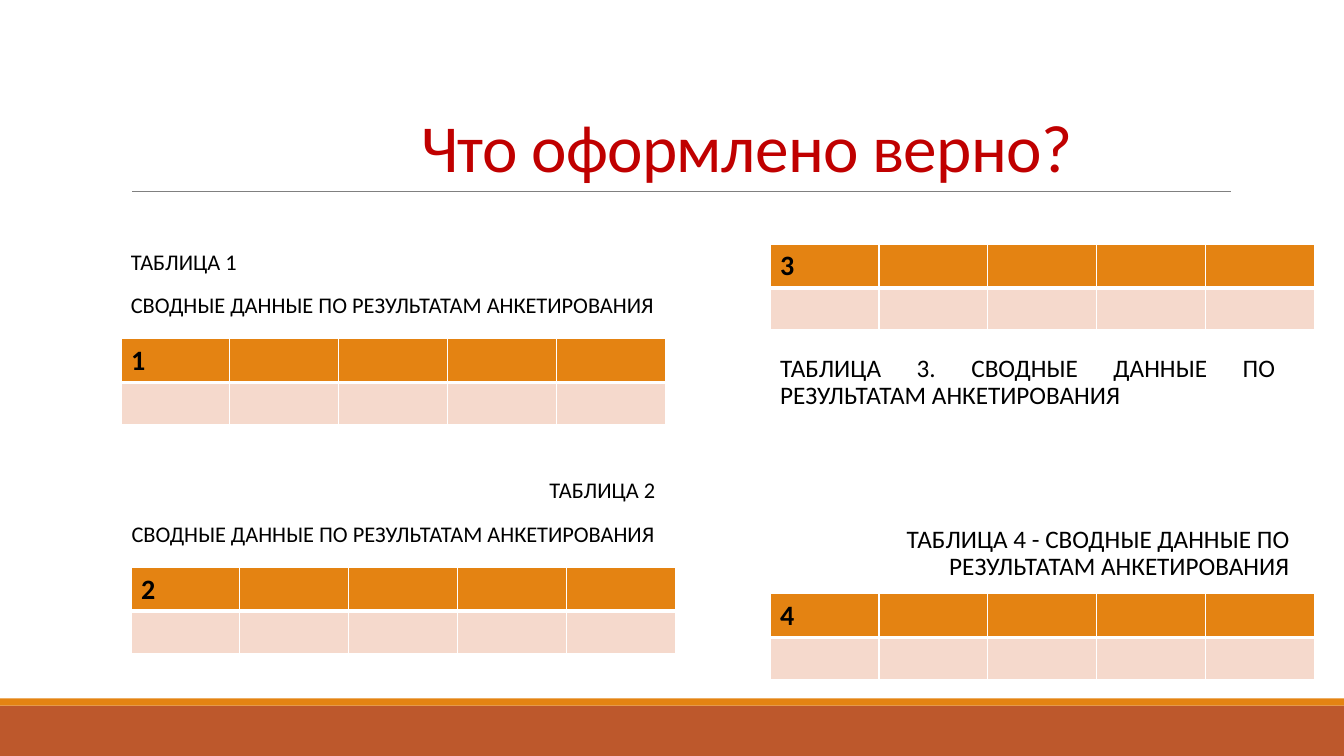
import pptx
import pptx.util
import pptx.dml.color
import pptx.enum.shapes
import pptx.enum.text
import pptx.oxml
import pptx.oxml.ns

COLOURS = {"rust": "BD582C", "orange": "E48312", "blush": "F5D9CC", "rule": "808080",
           "title": "C00000", "text": "000000", "white": "FFFFFF"}
FONT = "Calibri"
CELL = pptx.util.Inches(0.1)
WIDE, HIGH = 133.33, 75
TABLE_WIDE, TABLE_HIGH, TABLE_COLUMNS, TABLE_ROWS = 54, 8.4, 5, 2
CAPTION_HIGH = 8.1
SUMMARY = "СВОДНЫЕ ДАННЫЕ ПО РЕЗУЛЬТАТАМ АНКЕТИРОВАНИЯ"
ALIGN = pptx.enum.text.PP_ALIGN
ANCHOR = pptx.enum.text.MSO_ANCHOR


def grid(*cells):
    """Turn grid columns and rows into lengths."""
    return [round(cell * CELL) for cell in cells]


def colour(name):
    """Look up a named colour."""
    return pptx.dml.color.RGBColor.from_string(COLOURS[name])


def style(para, size, name, bold=False):
    """Format every run of a paragraph."""
    for span in para.runs:
        span.font.name = FONT
        span.font.size = pptx.util.Pt(size)
        span.font.bold = bold
        span.font.color.rgb = colour(name)


def add_band(page, top, height, name):
    """Draw a full-width coloured band."""
    band = page.shapes.add_shape(pptx.enum.shapes.MSO_SHAPE.RECTANGLE, *grid(0, top, WIDE, height))
    band.shadow.inherit = False
    band.fill.solid()
    band.fill.fore_color.rgb = colour(name)
    band.line.fill.background()


def add_rule(page, left, right, row):
    """Draw the thin line under the title."""
    rule = page.shapes.add_connector(pptx.enum.shapes.MSO_CONNECTOR.STRAIGHT,
                                     *grid(left, row, right, row))
    rule.line.color.rgb = colour("rule")
    rule.line.width = pptx.util.Pt(0.5)
    properties = rule._element.spPr
    properties.append(properties.makeelement(pptx.oxml.ns.qn("a:effectLst"), {}))


def set_title(page, text):
    """Place and format the title placeholder."""
    title = page.shapes.title
    title.left, title.top, title.width, title.height = grid(40.8, 3.1, 81.2, 15.9)
    frame = title.text_frame
    frame.text = text
    frame.word_wrap = True
    frame.auto_size = pptx.enum.text.MSO_AUTO_SIZE.NONE
    frame.vertical_anchor = ANCHOR.BOTTOM
    para = frame.paragraphs[0]
    para.alignment = ALIGN.LEFT
    para.line_spacing = 0.85
    style(para, 48, "title")
    para.runs[0].font._element.set("spc", "-50")


def add_caption(page, left, top, width, size, lines):
    """Add a caption made of aligned lines."""
    box = page.shapes.add_textbox(*grid(left, top, width, CAPTION_HIGH))
    frame = box.text_frame
    frame.word_wrap = True
    frame.vertical_anchor = ANCHOR.MIDDLE
    for index, (text, alignment) in enumerate(lines):
        para = frame.add_paragraph() if index else frame.paragraphs[0]
        para.text = text
        para.alignment = alignment
        para.line_spacing = 0.9
        para.space_before = pptx.util.Pt(12 if index else 0)
        para.space_after = pptx.util.Pt(2)
        style(para, size, "text")


def set_borders(cell, bottom):
    """Give a cell white borders with a chosen bottom width."""
    properties = cell._tc.get_or_add_tcPr()
    for position, (side, width) in enumerate((("L", 1), ("R", 1), ("T", 1), ("B", bottom))):
        properties.insert(position, pptx.oxml.parse_xml(
            f'<a:ln{side} {pptx.oxml.ns.nsdecls("a")} w="{pptx.util.Pt(width)}"><a:solidFill>'
            f'<a:srgbClr val="{COLOURS["white"]}"/></a:solidFill></a:ln{side}>'))


def add_sample(page, left, top, number):
    """Add a numbered sample table with a header row."""
    table = page.shapes.add_table(TABLE_ROWS, TABLE_COLUMNS,
                                  *grid(left, top, TABLE_WIDE, TABLE_HIGH)).table
    for row_index, row in enumerate(table.rows):
        header = row_index == 0
        for cell in row.cells:
            cell.fill.solid()
            cell.fill.fore_color.rgb = colour("orange" if header else "blush")
            set_borders(cell, 3 if header else 1)
    corner = table.cell(0, 0)
    corner.text = number
    style(corner.text_frame.paragraphs[0], 20, "text", bold=True)


def main():
    """Build and save the slide."""
    deck = pptx.Presentation()
    deck.slide_width, deck.slide_height = grid(WIDE, HIGH)
    page = deck.slides.add_slide(deck.slide_layouts[5])
    add_band(page, 70, 5, "rust")
    add_band(page, 69.3, 0.7, "orange")
    add_rule(page, 13.1, 122.1, 19)
    set_title(page, "Что оформлено верно?")
    captions = (
        (12, 24.2, 54, 16, [("ТАБЛИЦА 1", ALIGN.LEFT), (SUMMARY, ALIGN.LEFT)]),
        (12, 46.9, 54, 16, [("ТАБЛИЦА 2", ALIGN.RIGHT), (SUMMARY, ALIGN.CENTER)]),
        (76.4, 33.9, 51.1, 18, [(f"ТАБЛИЦА 3. {SUMMARY}", ALIGN.JUSTIFY)]),
        (74.9, 50.9, 54, 18, [(f"ТАБЛИЦА 4 - {SUMMARY}", ALIGN.RIGHT)]),
    )
    for caption in captions:
        add_caption(page, *caption)
    samples = ((12, 33.6), (13, 56.3), (76.4, 24.2), (76.4, 58.9))
    for number, (left, top) in enumerate(samples, 1):
        add_sample(page, left, top, str(number))
    deck.save("out.pptx")


if __name__ == "__main__":
    main()
